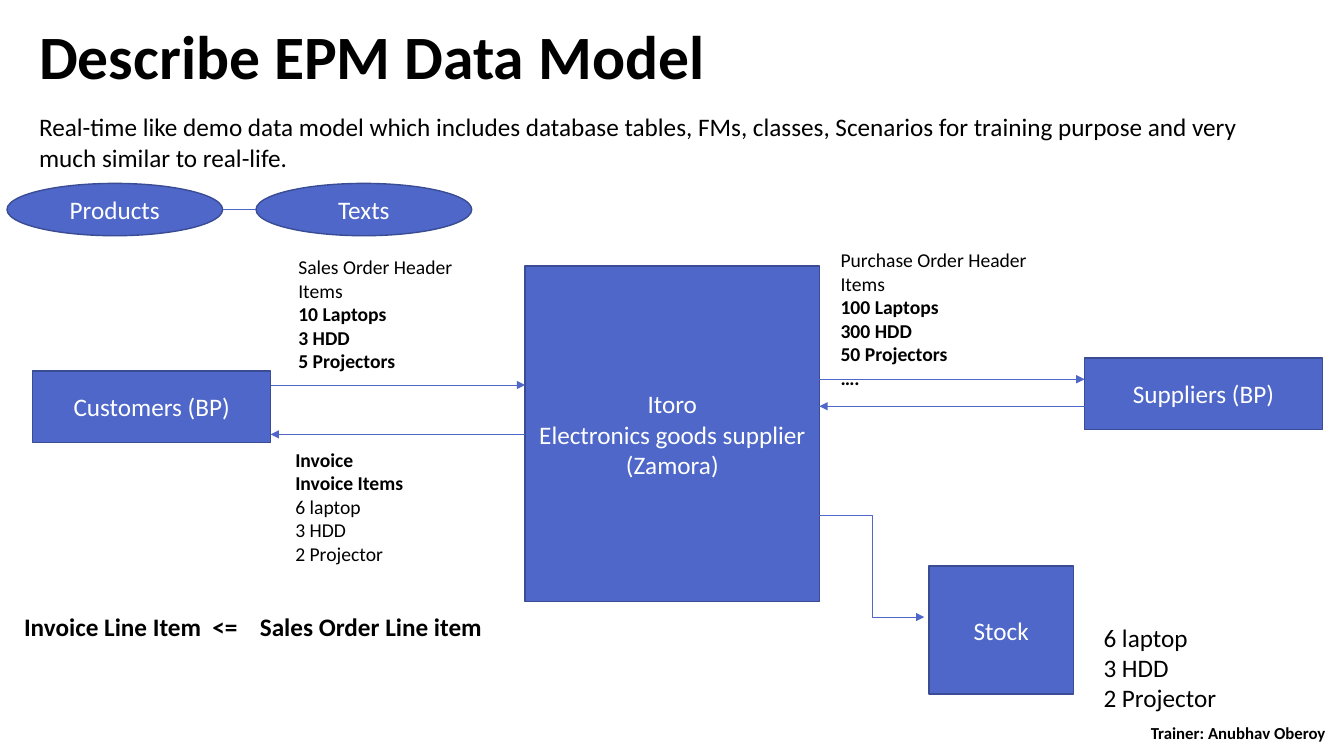
"""Build the slide that describes the EPM data model."""
from dataclasses import dataclass

from lxml.etree import SubElement
from pptx import Presentation
from pptx.dml.color import RGBColor
from pptx.enum.shapes import MSO_CONNECTOR as Link, MSO_SHAPE as Kind
from pptx.enum.text import MSO_ANCHOR as Anchor, PP_ALIGN as Align
from pptx.oxml.ns import qn
from pptx.util import Pt


@dataclass(frozen=True)
class Theme:
    font: str = "Calibri"
    ink: RGBColor = RGBColor(0, 0, 0)
    white: RGBColor = RGBColor(255, 255, 255)
    blue: RGBColor = RGBColor(0x4E, 0x67, 0xC8)
    edge: RGBColor = RGBColor(0x3A, 0x4C, 0x94)
    title: int = 44
    body: int = 18
    note: int = 14
    small: int = 12
    rim: float = 1
    wire: float = 0.5


THEME = Theme()


def write(frame, lines, size, color, bold=(), align=Align.LEFT):
    frame.word_wrap = True
    frame.text = "\n".join(lines)
    for row, para in enumerate(frame.paragraphs):
        para.alignment = align
        for run in para.runs:
            font = run.font
            font.name, font.size, font.bold = THEME.font, Pt(size), row in bold
            font.color.rgb = color


def add_text(slide, area, lines, size=THEME.body, bold=(), align=Align.LEFT,
             anchor=Anchor.TOP):
    box = slide.shapes.add_textbox(*map(Pt, area))
    frame = box.text_frame
    frame.vertical_anchor = anchor
    write(frame, lines, size, THEME.ink, bold, align)
    return frame.paragraphs[0]


def add_node(slide, area, lines, kind=Kind.RECTANGLE):
    node = slide.shapes.add_shape(kind, *map(Pt, area))
    node.shadow.inherit = False
    node.fill.solid()
    node.fill.fore_color.rgb = THEME.blue
    node.line.color.rgb = THEME.edge
    node.line.width = Pt(THEME.rim)
    node.text_frame.vertical_anchor = Anchor.MIDDLE
    write(node.text_frame, lines, THEME.body, THEME.white, align=Align.CENTER)


def add_link(slide, start, end, kind=Link.STRAIGHT, arrow=True):
    link = slide.shapes.add_connector(kind, *map(Pt, start + end))
    link.line.color.rgb = THEME.blue
    link.line.width = Pt(THEME.wire)
    if arrow:
        SubElement(link.line._get_or_add_ln(), qn("a:tailEnd"), type="triangle")
    SubElement(link._element.spPr, qn("a:effectLst"))


def set_tabs(para, stops):
    tabs = SubElement(para._p.get_or_add_pPr(), qn("a:tabLst"))
    for stop in stops:
        SubElement(tabs, qn("a:tab"), pos=str(Pt(stop)), algn="l")


def add_heads(slide):
    title = add_text(slide, (20.9, 15.1, 889, 56.2), ["Describe EPM Data Model"],
                     THEME.title, bold=(0,))
    title.line_spacing = 0.9
    add_text(slide, (20.9, 76.3, 889, 51), [
        "Real-time like demo data model which includes database tables, FMs, "
        "classes, Scenarios for training purpose and very much similar to "
        "real-life."])
    add_text(slide, (797, 515.5, 175, 16), ["Trainer: Anubhav Oberoy"],
             THEME.small, (0,), Align.CENTER, Anchor.MIDDLE)


def add_nodes(slide):
    add_node(slide, (375.1, 190.1, 210.2, 239.8),
             ["Itoro", "Electronics goods supplier (Zamora)"])
    add_node(slide, (23.4, 265, 169.9, 51.1), ["Customers (BP)"])
    add_node(slide, (774.7, 255.6, 169.9, 51.1), ["Suppliers (BP)"])
    add_node(slide, (663.5, 404.3, 103.3, 91.5), ["Stock"])
    for left, name in ((5, "Products"), (182.9, "Texts")):
        add_node(slide, (left, 131, 154.1, 37.4), [name], Kind.OVAL)


def add_links(slide):
    buyer, west, east, maker = 193.3, 375.1, 585.3, 774.7
    for start, end, top in ((buyer, west, 275), (west, buyer, 310.3),
                            (east, maker, 270.9), (maker, east, 290.2)):
        add_link(slide, (start, top), (end, top))
    add_link(slide, (east, 368), (660.3, 440.8), Link.ELBOW)
    add_link(slide, (159.1, 149.7), (182.9, 149.7), arrow=False)


def add_notes(slide):
    add_text(slide, (206, 178.7, 141, 92),
             ["Sales Order Header", "Items", "10 Laptops", "3 HDD",
              "5 Projectors"], THEME.note, (2, 3, 4))
    stock = ["6 laptop", "3 HDD", "2 Projector"]
    add_text(slide, (203.8, 316.1, 132, 92),
             ["Invoice", "Invoice Items"] + stock, THEME.note, (0, 1))
    add_text(slide, (593.3, 173.7, 198, 109),
             ["Purchase Order Header", "Items", "100 Laptops", "300 HDD",
              "50 Projectors", "…."], THEME.note, (2, 3, 4, 5))
    add_text(slide, (781.2, 440.8, 169, 73), stock)
    rule = add_text(slide, (10.1, 432.9, 412.6, 29),
                    ["Invoice Line Item\t<=\tSales Order Line item"], bold=(0,))
    set_tabs(rule, (134.5, 168.5))


def main():
    deck = Presentation()
    deck.slide_width, deck.slide_height = Pt(960), Pt(540)
    slide = deck.slides.add_slide(deck.slide_layouts[6])
    add_heads(slide)
    add_nodes(slide)
    add_links(slide)
    add_notes(slide)
    deck.save("out.pptx")


if __name__ == "__main__":
    main()
